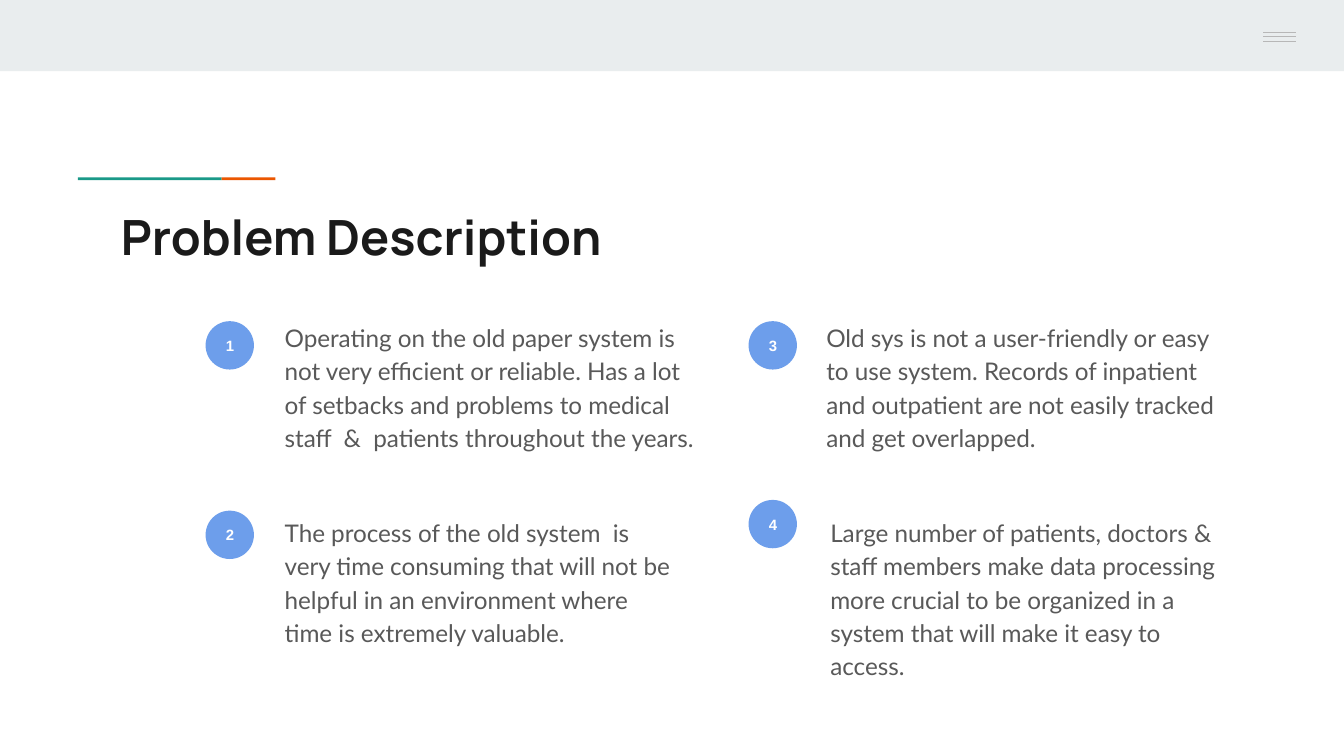
from dataclasses import dataclass
from lxml.etree import SubElement
from pptx import Presentation
from pptx.dml.color import RGBColor as RGB
from pptx.enum.shapes import MSO_CONNECTOR as Line, MSO_SHAPE as Kind
from pptx.enum.text import MSO_ANCHOR as Anchor, PP_ALIGN as Align
from pptx.oxml.ns import qn
from pptx.util import Inches, Pt

# Content: one list per column
TITLE = "Problem Description"
COLS = [
    ["Operating on the old paper system is not very efficient or reliable. "
     "Has a lot of setbacks and problems to medical staff  &  patients "
     "throughout the years.",
     "The process of the old system  is very time consuming that will not be "
     "helpful in an environment where time is extremely valuable."],
    ["Old sys is not a user-friendly or easy to use system. Records of "
     "inpatient and outpatient are not easily tracked and get overlapped.",
     "Large number of patients, doctors & staff members make data processing "
     "more crucial to be organized in a system that will make it easy to "
     "access."],
]


@dataclass(frozen=True)
class Theme:
    band: str = "E9EDEE"
    teal: str = "1A9988"
    orange: str = "EB5600"
    gray: str = "B7B7B7"
    blue: str = "6D9EEB"
    ink: str = "1A1A1A"
    body: str = "595959"
    white: str = "FFFFFF"
    head_pt: int = 26
    text_pt: int = 13
    num_pt: int = 8


T = Theme()
WIDE = 10
HIGH = WIDE * 9 / 16

# Grid: column lefts and row tops; sizes and shifts per (column, row)
BADGE_X = [1.53, 5.57]
TEXT_X = [2.02, 6.05]
TEXT_Y = [2.27, 3.72]
BADGE_Y = {(0, 0): 2.39, (0, 1): 3.8, (1, 0): 2.39, (1, 1): 3.72}
TEXT_SIZE = {(0, 0): (3.24, 1.81), (0, 1): (3.1, 1.88),
             (1, 0): (3.15, 1.53), (1, 1): (3.24, 1.72)}
NUDGE = {(1, 1): 0.03}
AFTER = [0, 16]
BADGE = 0.36

deck = Presentation()
deck.slide_width, deck.slide_height = Inches(WIDE), Inches(HIGH)
slide = deck.slides.add_slide(deck.slide_layouts[5])
shapes = slide.shapes


def box(*at):
    return [Inches(v) for v in at]


def block(kind, at, color):
    shape = shapes.add_shape(kind, *box(*at))
    shape.shadow.inherit = False
    shape.fill.solid()
    shape.fill.fore_color.rgb = RGB.from_string(color)
    shape.line.fill.background()
    return shape


def write(shape, text, face, size, color, bold=False, anchor=Anchor.TOP,
          align=Align.LEFT):
    frame = shape.text_frame
    frame.word_wrap = True
    frame.vertical_anchor = anchor
    frame.margin_left = frame.margin_right = Inches(0.1)
    frame.margin_top = frame.margin_bottom = Inches(0.1)
    para = frame.paragraphs[0]
    para.alignment = align
    run = para.add_run()
    run.text = text
    font = run.font
    font.name, font.size, font.bold = face, Pt(size), bold
    font.color.rgb = RGB.from_string(color)
    return para


# Top band with menu lines
block(Kind.RECTANGLE, (0, 0, WIDE, 0.53), T.band)
for y in (0.24, 0.27, 0.31):
    rule = shapes.add_connector(Line.STRAIGHT, *box(9.4, y, 9.64, y))
    rule.line.color.rgb = RGB.from_string(T.gray)
    rule.line.width = Pt(0.75)
    SubElement(rule._element.spPr, qn("a:effectLst"))

# Two-tone accent above the title
for x, w, color in ((0.58, 1.07, T.teal), (1.65, 0.4, T.orange)):
    block(Kind.RECTANGLE, (x, 1.32, w, 0.02), color)

# Title
head = shapes.title
head.left, head.top, head.width, head.height = box(0.8, 1.44, 8.41, 0.59)
write(head, TITLE, "Manrope", T.head_pt, T.ink, bold=True)

# Numbered problems, down each column
for c, col in enumerate(COLS):
    for r, text in enumerate(col):
        cell = c, r
        num = c * len(col) + r + 1
        dot = block(Kind.OVAL, (BADGE_X[c], BADGE_Y[cell], BADGE, BADGE),
                    T.blue)
        write(dot, str(num), "Arial", T.num_pt, T.white, bold=True,
              anchor=Anchor.MIDDLE, align=Align.CENTER)
        left = TEXT_X[c] + NUDGE.get(cell, 0)
        note = shapes.add_textbox(*box(left, TEXT_Y[r], *TEXT_SIZE[cell]))
        para = write(note, text, "Lato", T.text_pt, T.body)
        para.line_spacing = 1.15
        para.space_after = Pt(AFTER[r])

deck.save("out.pptx")
